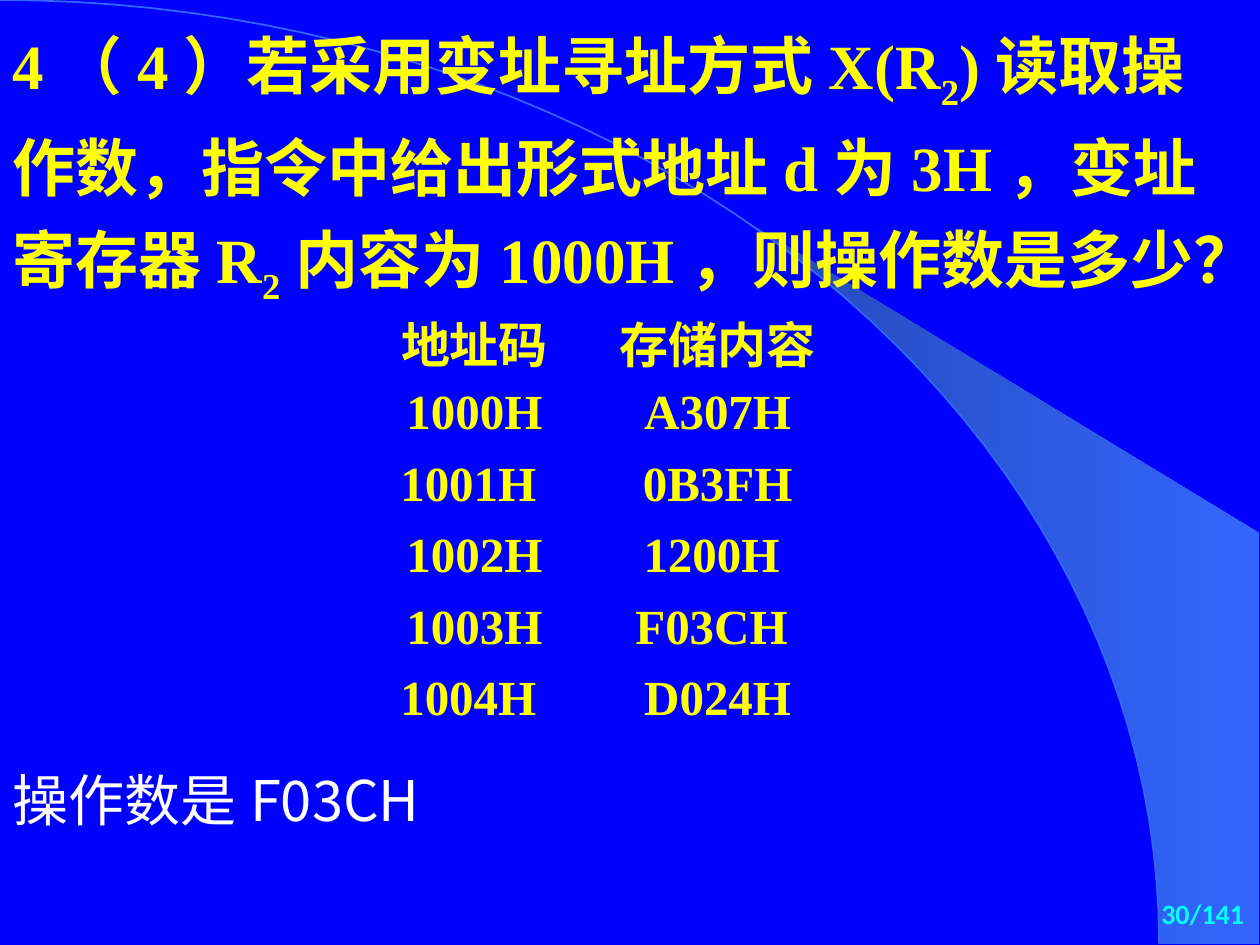
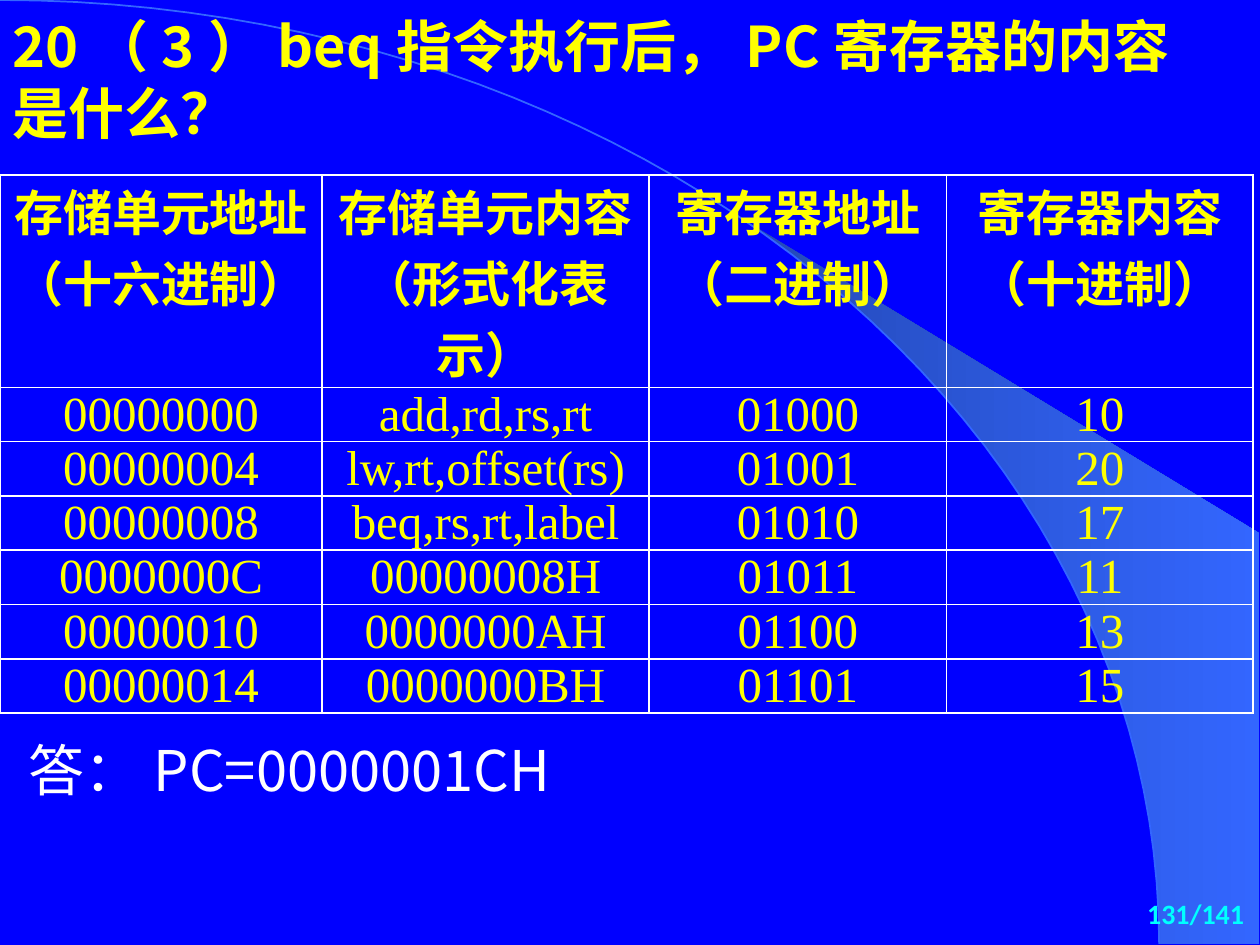
from math import cos, pi, sin

from lxml import etree
from pptx import Presentation
from pptx import util as u
from pptx.dml.color import RGBColor
from pptx.enum import lang, text
from pptx.oxml import ns

Pt = u.Pt
BLUE = RGBColor(0x00, 0x00, 0xFF)
WING_DARK = RGBColor(0x24, 0x49, 0xB6)
WING_LIGHT = RGBColor(0x33, 0x66, 0xFF)
YELLOW = RGBColor(0xFF, 0xFF, 0x00)
WHITE = RGBColor(0xFF, 0xFF, 0xFF)
CYAN = RGBColor(0x00, 0xFF, 0xFF)

SERIF = "Times New Roman"
CHINESE = "Noto Sans CJK SC"
LATIN = "Calibri"
LEFT, CENTER, RIGHT = text.PP_ALIGN.LEFT, text.PP_ALIGN.CENTER, text.PP_ALIGN.RIGHT
TOP, MIDDLE = text.MSO_ANCHOR.TOP, text.MSO_ANCHOR.MIDDLE

PLAIN_TABLE = "{2D5ABB26-0587-4C30-8999-92F81FD0307C}"
ARC_WIDTH, ARC_HEIGHT = 662.4, 539.3
WING_START = 0.695
PAGE_TOTAL = 141


def write_text(frame, content, size=28, font=SERIF, color=YELLOW, bold=False,
               align=LEFT, line_spacing=None):
    """Fill a frame; newlines part paragraphs and |bars| enclose subscripts."""
    for number, line in enumerate(content.split("\n")):
        para = frame.add_paragraph() if number else frame.paragraphs[0]
        para.alignment = align
        if line_spacing:
            para.line_spacing = line_spacing
        for index, piece in enumerate(line.split("|")):
            span = para.add_run()
            span.text = piece
            span.font.size = Pt(size)
            span.font.bold = bold
            span.font.color.rgb = color
            span.font.name = font
            span.font.language_id = lang.MSO_LANGUAGE_ID.SIMPLIFIED_CHINESE
            properties = span.font._element
            east_asian = etree.Element(ns.qn("a:ea"), typeface=CHINESE)
            properties.find(ns.qn("a:latin")).addnext(east_asian)
            if index % 2:
                properties.set("baseline", "-25000")


def arc_points(start, steps=48):
    """Points on the quarter ellipse, from an angle to its lower right end."""
    angles = [start + (pi / 2 - start) * step / steps for step in range(steps + 1)]
    return [(Pt(ARC_WIDTH * sin(a)), Pt(ARC_HEIGHT * (1 - cos(a)))) for a in angles]


def add_borders(cell, color, width):
    properties = cell._tc.get_or_add_tcPr()
    for side in ("lnL", "lnR", "lnT", "lnB"):
        line = etree.SubElement(properties, ns.qn("a:" + side), w=str(Pt(width)))
        fill = etree.SubElement(line, ns.qn("a:solidFill"))
        etree.SubElement(fill, ns.qn("a:srgbClr"), val=str(color))


class Lecture:
    def __init__(self):
        self.deck = Presentation()
        self.deck.slide_width, self.deck.slide_height = Pt(720), Pt(540)
        self.layout = self.deck.slide_layouts[5]
        self.layout.background.fill.solid()
        self.layout.background.fill.fore_color.rgb = BLUE
        self.page = None

    def add_page(self, number):
        first = self.page is None
        self.page = self.deck.slides.add_slide(self.layout)
        if first:
            self.decorate_layout()
        self.add_text(f"{number}/{PAGE_TOTAL}", 633, 509, 85, 28, size=16,
                      font=LATIN, color=CYAN, bold=True, align=RIGHT)

    def decorate_layout(self):
        """Draw the wing and the arc, then move them to the shared layout."""
        corners = [(Pt(719.3), Pt(ARC_HEIGHT)), (Pt(719.3), Pt(304.6))]
        wing = self.add_outline(corners + arc_points(WING_START), close=True)
        wing.fill.gradient()
        wing.fill.gradient_angle = 0
        for stop, color in zip(wing.fill.gradient_stops, (WING_DARK, WING_LIGHT)):
            stop.color.rgb = color
        stops = wing.fill.gradient_stops
        stops[0].position, stops[1].position = 0, 1
        wing.line.fill.background()

        arc = self.add_outline(arc_points(0), close=False)
        arc.fill.background()
        arc.line.color.rgb = WING_LIGHT
        arc.line.width = Pt(1)
        for position, shape in enumerate((wing, arc), start=2):
            self.layout.shapes.element.insert(position, shape.element)

    def add_outline(self, points, close):
        builder = self.page.shapes.build_freeform(*points[0])
        builder.add_line_segments(points[1:], close=close)
        shape = builder.convert_to_shape()
        shape.shadow.inherit = False
        return shape

    def place(self, box, left, top, width, height):
        box.left, box.top = Pt(left), Pt(top)
        box.width, box.height = Pt(width), Pt(height)
        box.text_frame.word_wrap = True
        box.text_frame.auto_size = text.MSO_AUTO_SIZE.NONE
        box.text_frame.vertical_anchor = TOP

    def add_title(self, content, left, top, width, height, **style):
        title = self.page.shapes.title
        self.place(title, left, top, width, height)
        write_text(title.text_frame, content, bold=True, **style)

    def add_text(self, content, left, top, width, height, **style):
        box = self.page.shapes.add_textbox(0, 0, 0, 0)
        self.place(box, left, top, width, height)
        write_text(box.text_frame, content, **style)

    def add_table(self, rows, left, top, widths, heights, anchor=TOP,
                  bold_body=False, border=None):
        frame = self.page.shapes.add_table(
            len(rows), len(widths), Pt(left), Pt(top), Pt(sum(widths)), Pt(sum(heights)))
        table = frame.table
        table.horz_banding = False
        frame.element.find(".//" + ns.qn("a:tableStyleId")).text = PLAIN_TABLE
        for column, width in zip(table.columns, widths):
            column.width = Pt(width)
        for row, height in zip(table.rows, heights):
            row.height = Pt(height)
        for r, values in enumerate(rows):
            for c, value in enumerate(values):
                cell = table.cell(r, c)
                cell.margin_left = cell.margin_right = Pt(5)
                cell.margin_top = cell.margin_bottom = 0
                cell.vertical_anchor = anchor
                if border:
                    add_borders(cell, border, 1)
                cell.fill.background()
                write_text(cell.text_frame, value, bold=bold_body or r == 0, align=CENTER)


def add_indexed_addressing(lecture):
    lecture.add_page(30)
    lecture.add_title(
        "4（4）若采用变址寻址方式X(R|2|)读取操作数，指令中给出形式地址d为3H，"
        "变址寄存器R|2|内容为1000H，则操作数是多少？",
        0, 2, 718, 159, size=36, line_spacing=1.2)
    memory = [
        ("地址码", "存储内容"),
        ("1000H", "A307H"),
        ("1001H ", "0B3FH"),
        ("1002H", "1200H "),
        ("1003H", "F03CH "),
        ("1004H ", "D024H"),
    ]
    lecture.add_table(memory, 201.6, 175, [139, 139], [40.8] * len(memory),
                      anchor=MIDDLE, bold_body=True)
    lecture.add_text("操作数是F03CH", 0, 434, 689, 46, size=32, font=CHINESE, color=WHITE)


def add_branch_result(lecture):
    lecture.add_page(131)
    lecture.add_title("20（3）beq指令执行后，PC寄存器的内容是什么？",
                      0, 3, 692, 124, size=32, font=CHINESE)
    state = [
        ("存储单元地址（十六进制）", "存储单元内容（形式化表示）",
         "寄存器地址\n（二进制）", "寄存器内容\n（十进制）"),
        ("00000000", "add,rd,rs,rt", "01000", "10"),
        ("00000004", "lw,rt,offset(rs)", "01001", "20"),
        ("00000008", "beq,rs,rt,label", "01010", "17"),
        ("0000000C", "00000008H", "01011", "11"),
        ("00000010", "0000000AH", "01100", "13"),
        ("00000014", "0000000BH", "01101", "15"),
    ]
    lecture.add_table(state, 0, 100, [184, 187, 170, 175],
                      [121] + [31] * (len(state) - 1), border=WHITE)
    lecture.add_text("答：PC=0000001CH", 9, 417, 505, 46, size=32, font=CHINESE, color=WHITE)


def main():
    lecture = Lecture()
    add_indexed_addressing(lecture)
    add_branch_result(lecture)
    lecture.deck.save("out.pptx")


if __name__ == "__main__":
    main()
